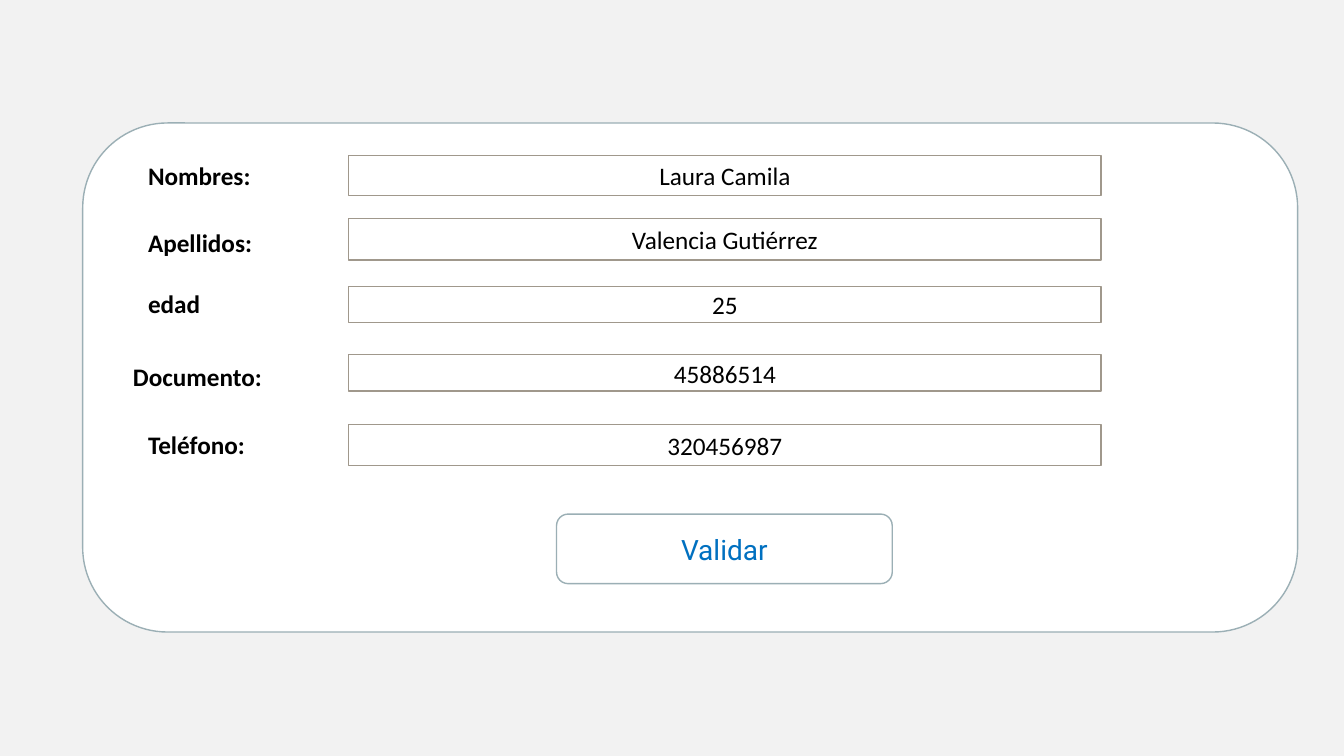
import pptx
import pptx.util
import pptx.dml.color
import pptx.enum.shapes
import pptx.enum.text

Inches = pptx.util.Inches
Kind = pptx.enum.shapes.MSO_SHAPE
Align = pptx.enum.text.PP_ALIGN
Anchor = pptx.enum.text.MSO_ANCHOR
Fit = pptx.enum.text.MSO_AUTO_SIZE


def tint(code):
    return pptx.dml.color.RGBColor.from_string(code)


class Form:
    """Draws the parts of a data form on one slide."""

    plain = {"name": "Calibri", "size": pptx.util.Pt(18), "bold": False}
    strong = {**plain, "bold": True}
    action = {**plain, "name": "Roboto", "size": pptx.util.Pt(20)}

    def __init__(self, slide):
        self.slide = slide
        back = slide.background.fill
        back.solid()
        back.fore_color.rgb = tint("F2F2F2")

    def words(self, frame, text, style, color="000000", align=Align.LEFT):
        frame.word_wrap = True
        para = frame.paragraphs[0]
        para.alignment = align
        run = para.add_run()
        run.text = text
        for key, value in style.items():
            setattr(run.font, key, value)
        run.font.color.rgb = tint(color)

    def panel(self, kind, box, edge):
        shape = self.slide.shapes.add_shape(kind, *map(Inches, box))
        shape.shadow.inherit = False
        shape.fill.solid()
        shape.fill.fore_color.rgb = tint("FFFFFF")
        shape.line.color.rgb = tint(edge)
        shape.line.width = pptx.util.Pt(1)
        return shape

    def label(self, text, left, top):
        box = self.slide.shapes.add_textbox(*map(Inches, (left, top, 2.93, 0.4)))
        self.words(box.text_frame, text, self.strong)
        box.text_frame.auto_size = Fit.SHAPE_TO_FIT_TEXT

    def field(self, text, top, height):
        shape = self.panel(Kind.RECTANGLE, (3.46, top, 7.46, height), "A0988C")
        shape.text_frame.vertical_anchor = Anchor.MIDDLE
        self.words(shape.text_frame, text, self.plain, align=Align.CENTER)

    def button(self, text, box):
        shape = self.panel(Kind.ROUNDED_RECTANGLE, box, "9BAFB5")
        shape.text_frame.vertical_anchor = Anchor.MIDDLE
        self.words(shape.text_frame, text, self.action, "0070C0", Align.CENTER)


def main():
    deck = pptx.Presentation()
    deck.slide_width = Inches(13.33)
    deck.slide_height = Inches(7.5)
    form = Form(deck.slides.add_slide(deck.slide_layouts[6]))
    form.panel(Kind.ROUNDED_RECTANGLE, (0.82, 1.22, 12.05, 5.05), "9BAFB5")
    rows = [
        ("Nombres:", 1.37, 1.54, "Laura Camila", 1.54, 0.4),
        ("Apellidos:", 1.37, 2.21, "Valencia Gutiérrez", 2.17, 0.41),
        ("edad", 1.37, 2.81, "25", 2.84, 0.36),
        ("Documento:", 1.22, 3.54, "45886514", 3.52, 0.36),
        ("Teléfono:", 1.37, 4.21, "320456987", 4.21, 0.41),
    ]
    for name, left, top, value, start, height in rows:
        form.label(name, left, top)
        form.field(value, start, height)
    form.button("Validar", (5.52, 5.1, 3.33, 0.69))
    deck.save("out.pptx")


if __name__ == "__main__":
    main()
